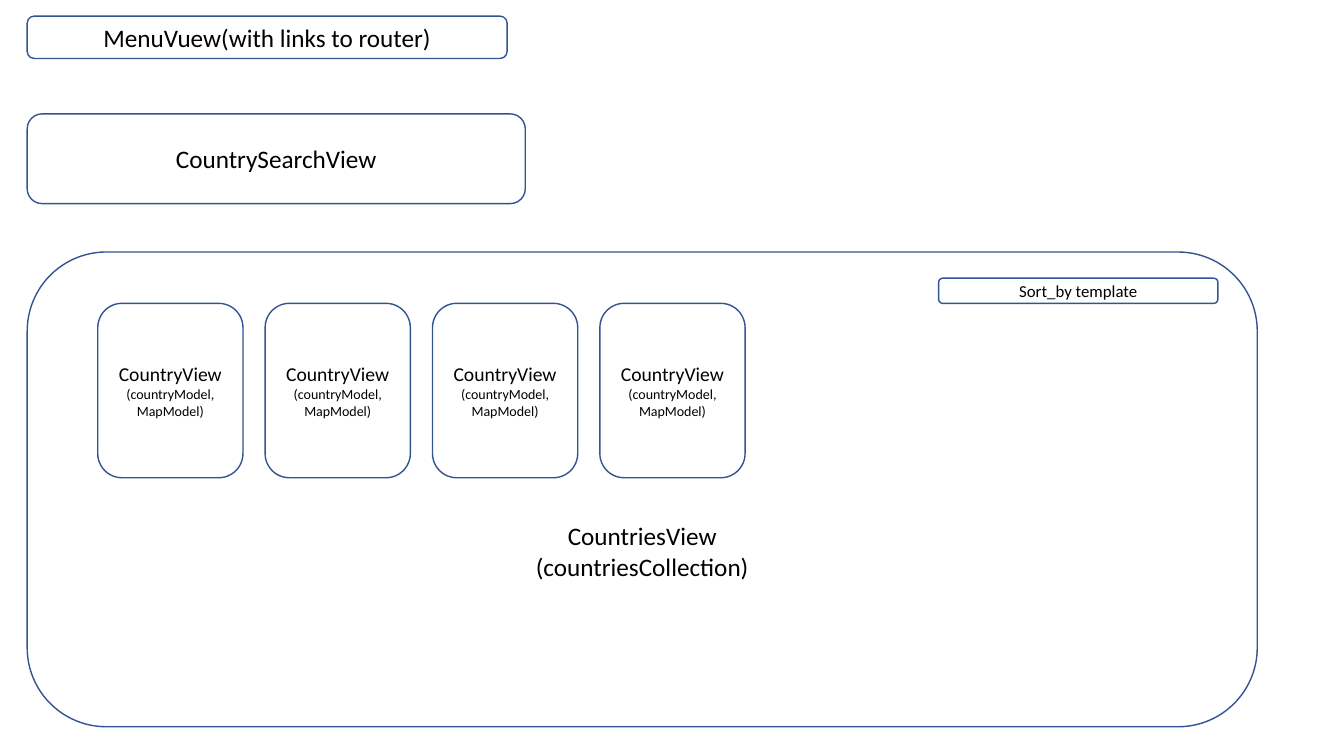
"""Build the view layout slide of a country browser app."""
from pptx import Presentation
from pptx.dml.color import RGBColor
from pptx.enum.shapes import MSO_SHAPE
from pptx.enum.text import MSO_ANCHOR, PP_ALIGN
from pptx.util import Inches, Pt

ROUNDED = MSO_SHAPE.ROUNDED_RECTANGLE
MIDDLE = MSO_ANCHOR.MIDDLE
CENTER = PP_ALIGN.CENTER
COLORS = {"fill": "FFFFFF", "border": "325491", "text": "000000"}
FONT = "Calibri"

prs = Presentation()
prs.slide_width = Inches(13.33)
prs.slide_height = Inches(7.5)
slide = prs.slides.add_slide(prs.slide_layouts[6])


def add_view(left, top, width, height, lines):
    """Add a rounded view box with (text, size) lines and return its text frame."""
    view = slide.shapes.add_shape(
        ROUNDED, Inches(left), Inches(top), Inches(width), Inches(height))
    view.shadow.inherit = False
    view.fill.solid()
    view.fill.fore_color.rgb = RGBColor.from_string(COLORS["fill"])
    view.line.color.rgb = RGBColor.from_string(COLORS["border"])
    view.line.width = Pt(1)
    frame = view.text_frame
    frame.word_wrap = True
    frame.vertical_anchor = MIDDLE
    for index, (text, size) in enumerate(lines):
        paragraph = frame.add_paragraph() if index else frame.paragraphs[0]
        paragraph.alignment = CENTER
        run = paragraph.add_run()
        run.text = text
        run.font.name = FONT
        run.font.size = Pt(size)
        run.font.color.rgb = RGBColor.from_string(COLORS["text"])
    return frame


add_view(0.27, 0.16, 4.76, 0.42, [("MenuVuew(with links to router)", 18)])
countries = add_view(0.27, 2.5, 12.2, 4.71,
                     [("CountriesView", 18), ("(countriesCollection)", 18)])
countries.margin_top = Inches(1.27)
add_view(9.31, 2.76, 2.77, 0.25, [("Sort_by template", 12)])
add_view(0.27, 1.13, 4.94, 0.89, [("CountrySearchView", 18)])

country_lines = [("CountryView", 14), ("(countryModel,", 10), ("MapModel)", 10)]
country_left, country_pitch = 0.97, 1.66
for column in range(4):
    add_view(country_left + column * country_pitch, 3.01, 1.44, 1.73, country_lines)

prs.save("out.pptx")
